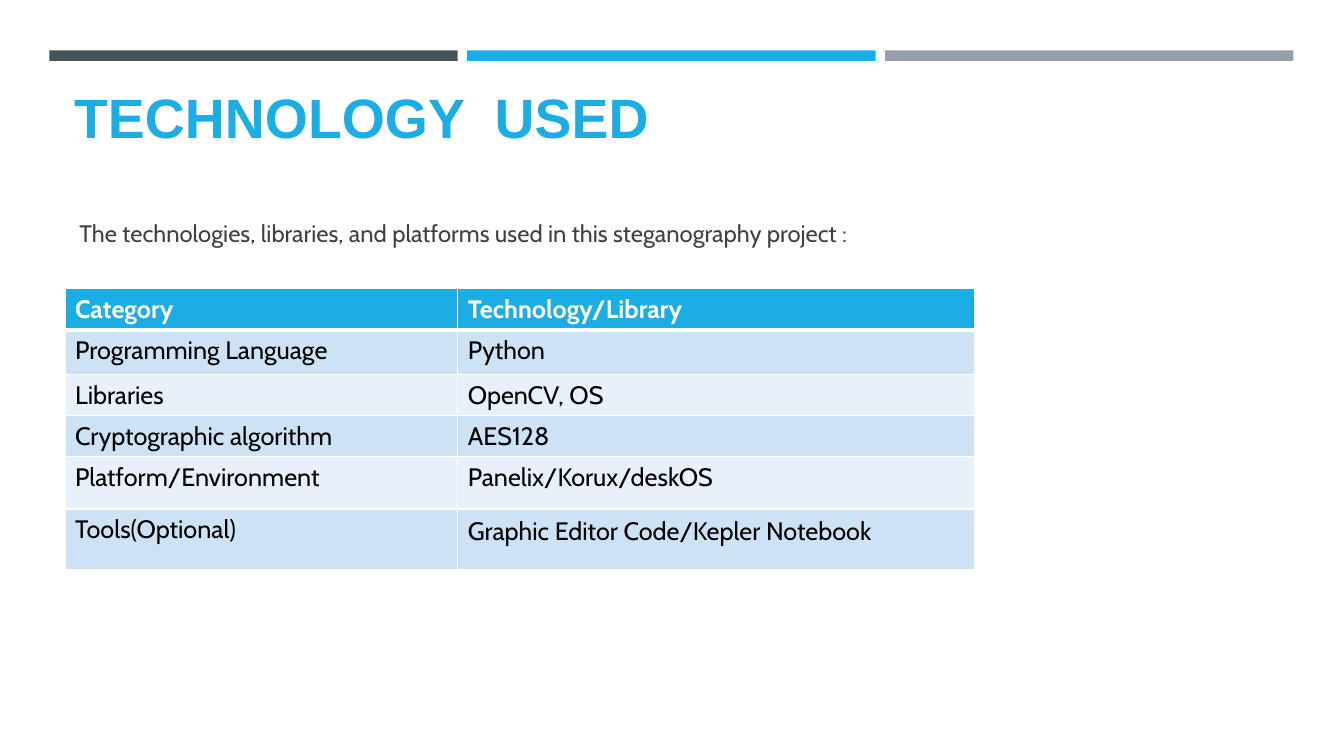
from dataclasses import dataclass

from lxml import etree
from pptx import Presentation
from pptx.dml.color import RGBColor
from pptx.enum.shapes import MSO_SHAPE
from pptx.enum.text import MSO_ANCHOR, MSO_AUTO_SIZE, PP_ALIGN
from pptx.oxml.ns import qn
from pptx.util import Pt

RECT = MSO_SHAPE.RECTANGLE
BOTTOM, MIDDLE = MSO_ANCHOR.BOTTOM, MSO_ANCHOR.MIDDLE
LEFT, JUSTIFY = PP_ALIGN.LEFT, PP_ALIGN.JUSTIFY
FIXED = MSO_AUTO_SIZE.NONE
EMU_PER_PX = 9525


@dataclass(frozen=True)
class Theme:
    accent: str = "1CADE4"
    slate: str = "465359"
    grey: str = "969FA7"
    body: str = "404040"
    black: str = "000000"
    white: str = "FFFFFF"
    bands: tuple = ("CDE3F5", "E8F1FA")
    title_font: str = "Arial"
    body_font: str = "Cabin"
    title_size: float = 39.6
    body_size: float = 17
    table_size: float = 18


def px(n):
    return n * EMU_PER_PX


def paint(fill, color):
    fill.solid()
    fill.fore_color.rgb = RGBColor.from_string(color)


def set_font(p, name, size, color, bold=False):
    p.font.name, p.font.size, p.font.bold = name, Pt(size), bold
    p.font.color.rgb = RGBColor.from_string(color)


def set_borders(cell, color, **widths):
    """Draw the given sides (L, R, T, B in that order), widths in points."""
    tc_pr = cell._tc.get_or_add_tcPr()
    for i, (side, width) in enumerate(widths.items()):
        ln = etree.Element(qn(f"a:ln{side}"), w=str(Pt(width)))
        fill = etree.SubElement(ln, qn("a:solidFill"))
        etree.SubElement(fill, qn("a:srgbClr"), val=color)
        tc_pr.insert(i, ln)


class Deck:
    def __init__(self, theme):
        self.theme = theme
        self.prs = Presentation()
        self.prs.slide_width, self.prs.slide_height = px(1280), px(720)
        self.s = self.prs.slides.add_slide(self.prs.slide_layouts[1])

    def bar(self, x, y, w, h, color):
        sp = self.s.shapes.add_shape(RECT, px(x), px(y), px(w), px(h))
        sp.shadow.inherit = False
        paint(sp.fill, color)
        sp.line.fill.background()

    def placeholder(self, sp, text, x, y, w, h, anchor):
        sp.left, sp.top, sp.width, sp.height = px(x), px(y), px(w), px(h)
        tf = sp.text_frame
        tf.text = text
        tf.auto_size, tf.vertical_anchor, tf.word_wrap = FIXED, anchor, True
        p = tf.paragraphs[0]
        p.alignment = LEFT
        p.space_before = Pt(0)
        return p

    def title(self, text, x, y, w, h):
        t = self.theme
        p = self.placeholder(self.s.shapes.title, text, x, y, w, h, BOTTOM)
        set_font(p, t.title_font, t.title_size, t.accent, True)

    def intro(self, text, x, y, w, h):
        t = self.theme
        p = self.placeholder(self.s.placeholders[1], text, x, y, w, h, MIDDLE)
        set_font(p, t.body_font, t.body_size, t.body)
        p_pr = p._p.get_or_add_pPr()
        p_pr.set("marL", "0")
        p_pr.set("indent", "0")
        etree.SubElement(p_pr, qn("a:buNone"))

    def table(self, rows, x, y, col_widths, row_heights):
        t = self.theme
        table = self.s.shapes.add_table(
            len(rows), len(col_widths), px(x), px(y),
            px(sum(col_widths)), px(sum(row_heights))).table
        for col, width in zip(table.columns, col_widths):
            col.width = px(width)
        for i, (row, height) in enumerate(zip(rows, row_heights)):
            table.rows[i].height = px(height)
            header = i == 0
            for j, text in enumerate(row):
                cell = table.cell(i, j)
                cell.text = text
                p = cell.text_frame.paragraphs[0]
                set_font(p, t.body_font, t.table_size,
                         t.white if header else t.black, header)
                paint(cell.fill, t.accent if header else t.bands[(i - 1) % 2])
                set_borders(cell, t.white, L=1, R=1,
                            T=3 if i == 1 else 1, B=3 if header else 1)
        return table


def main():
    theme = Theme()
    deck = Deck(theme)
    for i, color in enumerate((theme.slate, theme.accent, theme.grey)):
        deck.bar(47 + 398 * i, 48, 389, 10, color)
    deck.title("TECHNOLOGY  USED", 61, 84, 908, 63)
    deck.intro("The technologies, libraries, and platforms used in this "
               "steganography project :", 66, 200, 1153, 44)
    table = deck.table([
        ("Category", "Technology/Library"),
        ("Programming Language", "Python"),
        ("Libraries", "OpenCV, OS"),
        ("Cryptographic algorithm", "AES128"),
        ("Platform/Environment", "Panelix/Korux/deskOS"),
        ("Tools(Optional)", "Graphic Editor Code/Kepler Notebook"),
    ], 62, 275, (374, 492), (39, 43, 39, 39, 50, 58))
    tools = table.cell(5, 1).text_frame.paragraphs[0]
    tools.alignment, tools.line_spacing = JUSTIFY, 1.07
    deck.prs.save("out.pptx")


if __name__ == "__main__":
    main()
